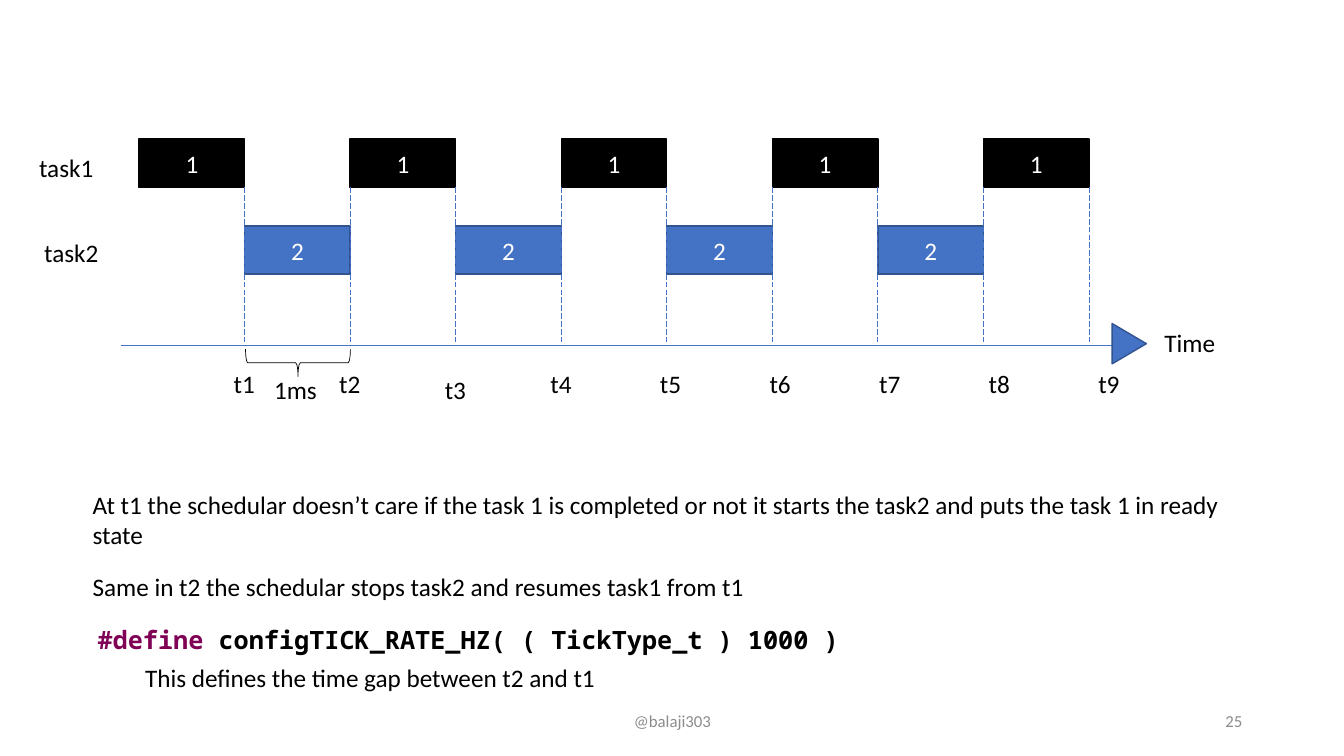
from pptx import Presentation
from pptx.dml.color import RGBColor
from pptx.enum import dml, shapes, text
from pptx.oxml.ns import qn
from pptx.util import Inches, Pt
from lxml import etree

BLACK, WHITE, BLUE, NAVY, GREY, PURPLE = "000000", "FFFFFF", "4472C4", "325491", "8C8C8C", "7F0055"
color = RGBColor.from_string

deck = Presentation()
deck.slide_width, deck.slide_height = Inches(13.33), Inches(7.5)
slide = deck.slides.add_slide(deck.slide_layouts[6])


def write(words, at=None, box=None, size=18, font="Calibri", ink=BLACK, bold=False,
          align=text.PP_ALIGN.LEFT, anchor=text.MSO_ANCHOR.TOP):
    if box is None:
        box = slide.shapes.add_textbox(*map(Inches, at))
    frame = box.text_frame
    frame.word_wrap = True
    frame.vertical_anchor = anchor
    line = frame.paragraphs[0]
    line.alignment = align
    run = line.add_run()
    run.text = words
    run.font.size, run.font.name, run.font.bold = Pt(size), font, bold
    run.font.color.rgb = color(ink)
    return box


def draw(kind, at, fill, outline, weight=1, turn=0):
    figure = slide.shapes.add_shape(kind, *map(Inches, at))
    figure.shadow.inherit = False
    if fill:
        figure.fill.solid()
        figure.fill.fore_color.rgb = color(fill)
    else:
        figure.fill.background()
    figure.line.color.rgb = color(outline)
    figure.line.width = Pt(weight)
    figure.rotation = turn
    return figure


start, slot, axis = 1.38, 9.42 / 9, 3.43
tasks = [("1", 1.38, BLACK, BLACK), ("2", 2.24, BLUE, NAVY)]
for tick in range(9):
    task, top, fill, outline = tasks[tick % 2]
    burst = draw(shapes.MSO_SHAPE.RECTANGLE, (start + tick * slot, top, slot, 0.48), fill, outline)
    write(task, box=burst, ink=WHITE, align=text.PP_ALIGN.CENTER, anchor=text.MSO_ANCHOR.MIDDLE)

ticks = [start + slot * n for n in range(1, 10)]
guides = [(x, 1.86, x, axis, True) for x in ticks] + [(1.2, axis, 11.03, axis, False)]
for *ends, dashed in guides:
    guide = slide.shapes.add_connector(shapes.MSO_CONNECTOR.STRAIGHT, *map(Inches, ends))
    guide.line.color.rgb = color(BLUE)
    guide.line.width = Pt(0.5)
    if dashed:
        guide.line.dash_style = dml.MSO_LINE.LONG_DASH
    etree.SubElement(guide._element.spPr, qn("a:effectLst"))

for n, top in enumerate([3.61, 3.61, 3.66]):
    write(f"t{n + 1}", (2.22 + n * slot, top, 0.43, 0.4))
for n in range(6):
    write(f"t{n + 4}", (5.36 + n * 1.087, 3.61, 1.09, 0.4))

write("task1", (0.29, 1.46, 0.86, 0.4))
write("task2", (0.34, 2.31, 0.86, 0.4))
draw(shapes.MSO_SHAPE.ISOSCELES_TRIANGLE, (11, 3.24, 0.4, 0.34), BLUE, NAVY, turn=90)
write("Time", (11.45, 3.2, 0.86, 0.4))

write("At t1 the schedular doesn’t care if the task 1 is completed or not it starts the task2 "
      "and puts the task 1 in ready state", (0.82, 4.8, 11.6, 0.71))
write("Same in t2 the schedular stops task2 and resumes task1 from t1", (0.82, 5.62, 11.6, 0.4))
define = write("#define ", (0.87, 6.14, 11.6, 0.4), font="Noto Sans Mono", ink=PURPLE, bold=True)
write("configTICK_RATE_HZ( ( TickType_t ) 1000 )", box=define, font="Noto Sans Mono", bold=True)
write("This defines the time gap between t2 and t1", (1.34, 6.52, 11.6, 0.4))

write("1ms", (2.62, 3.66, 0.86, 0.4))
draw(shapes.MSO_SHAPE.RIGHT_BRACE, (2.82, 3.08, 0.27, 1.04), None, BLACK, weight=0.5, turn=90)

write("25", (9.42, 6.95, 3, 0.4), size=12, ink=GREY,
      align=text.PP_ALIGN.RIGHT, anchor=text.MSO_ANCHOR.MIDDLE)
write("@balaji303", (4.42, 6.95, 4.5, 0.4), size=12, ink=GREY,
      align=text.PP_ALIGN.CENTER, anchor=text.MSO_ANCHOR.MIDDLE)

deck.save("out.pptx")
